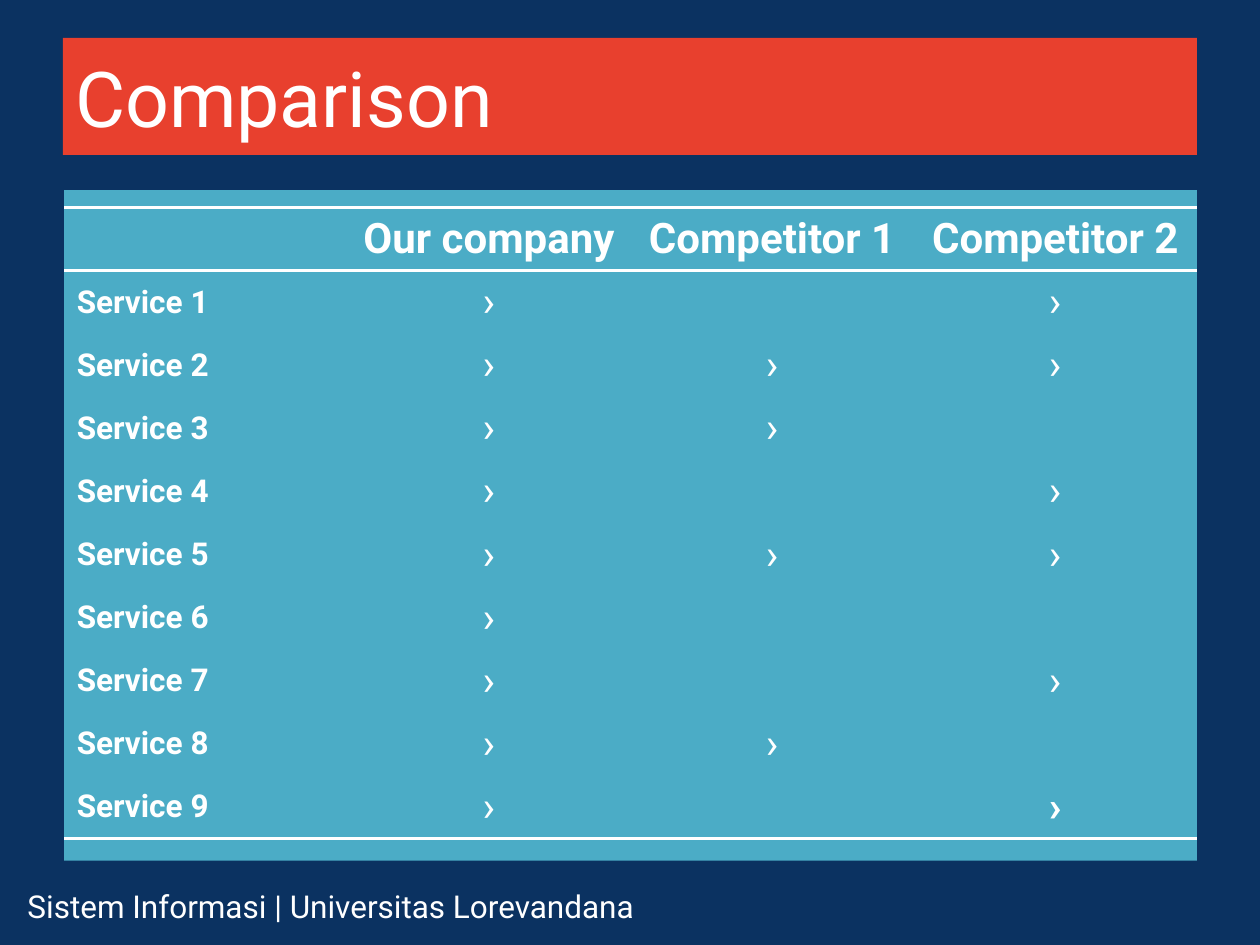
from lxml.etree import SubElement
from pptx import Presentation
from pptx.dml.color import RGBColor
from pptx.enum.shapes import MSO_SHAPE as Shape
from pptx.enum.text import MSO_ANCHOR as Anchor, PP_ALIGN as Align
from pptx.oxml.ns import qn
from pptx.util import Inches, Pt

WIDE, HIGH = 10, 7.5
WHITE, NAVY, RED, TEAL = "FFFFFF", "0B3261", "E8402E", "4BACC6"
PLAIN = "{2D5ABB26-0587-4C30-8999-92F81FD0307C}"  # no style, no grid
MARK = "›"
HEADS = ["", "Our company", "Competitor 1", "Competitor 2"]
OFFERS = ["13", "123", "12", "13", "123", "1", "13", "12", "13"]  # columns marked


def paint(fill, color):
    fill.solid()
    fill.fore_color.rgb = RGBColor.from_string(color)


def write(frame, text, size, bold=False, align=Align.LEFT):
    frame.text = text
    par = frame.paragraphs[0]
    par.alignment = align
    for run in par.runs:
        font = run.font
        font.name, font.size, font.bold = "Roboto", Pt(size), bold
        font.color.rgb = RGBColor.from_string(WHITE)


def add_bar(slide, box, color):
    bar = slide.shapes.add_shape(Shape.RECTANGLE, *map(Inches, box))
    bar.shadow.inherit = False
    paint(bar.fill, color)
    bar.line.fill.background()
    return bar


def add_note(slide, box, text, size):
    note = slide.shapes.add_textbox(*map(Inches, box)).text_frame
    note.word_wrap = True
    write(note, text, size)


def rule(cell, *sides):
    """Draw white lines on the given sides, T before B."""
    props = cell._tc.get_or_add_tcPr()
    for spot, side in enumerate(sides):
        line = SubElement(props, qn(f"a:ln{side}"), w=str(Pt(2)))
        fill = SubElement(line, qn("a:solidFill"))
        SubElement(fill, qn("a:srgbClr"), val=WHITE)
        props.insert(spot, line)


def add_grid(slide, left, top, width, row):
    rows, cols = len(OFFERS) + 1, len(HEADS)
    box = map(Inches, (left, top, width, row * rows))
    frame = slide.shapes.add_table(rows, cols, *box)
    next(frame.element.iter(qn("a:tableStyleId"))).text = PLAIN
    grid = frame.table
    grid.first_row = grid.horz_banding = False
    body = [[f"Service {i}"] + [MARK if str(c) in offer else "" for c in range(1, cols)]
            for i, offer in enumerate(OFFERS, 1)]
    for r, texts in enumerate([HEADS] + body):
        for c, text in enumerate(texts):
            cell = grid.cell(r, c)
            cell.fill.background()
            cell.vertical_anchor = Anchor.MIDDLE
            corner = (r, c) == (rows - 1, cols - 1)
            write(cell.text_frame, text, 24 if c else 18,
                  bold=r == 0 or c == 0 or corner,
                  align=Align.CENTER if c else Align.LEFT)
            if r == 0:
                rule(cell, "T", "B")
            elif r == rows - 1:
                rule(cell, "B")


def main():
    deck = Presentation()
    deck.slide_width, deck.slide_height = Inches(WIDE), Inches(HIGH)
    slide = deck.slides.add_slide(deck.slide_layouts[6])
    paint(slide.background.fill, NAVY)

    edge = WIDE * 0.05
    wide = WIDE - 2 * edge
    add_note(slide, (0.12, 6.99, 8.5, 0.34), "Sistem Informasi | Universitas Lorevandana", 18)
    add_bar(slide, (edge + 0.01, 1.51, wide - 0.01, 5.32), TEAL)
    title = add_bar(slide, (edge, 0.3, wide, 0.93), RED).text_frame
    title.vertical_anchor = Anchor.MIDDLE
    write(title, "Comparison", 44)
    add_grid(slide, edge + 0.01, 1.65, wide - 0.01, 0.5)
    deck.save("out.pptx")


if __name__ == "__main__":
    main()
